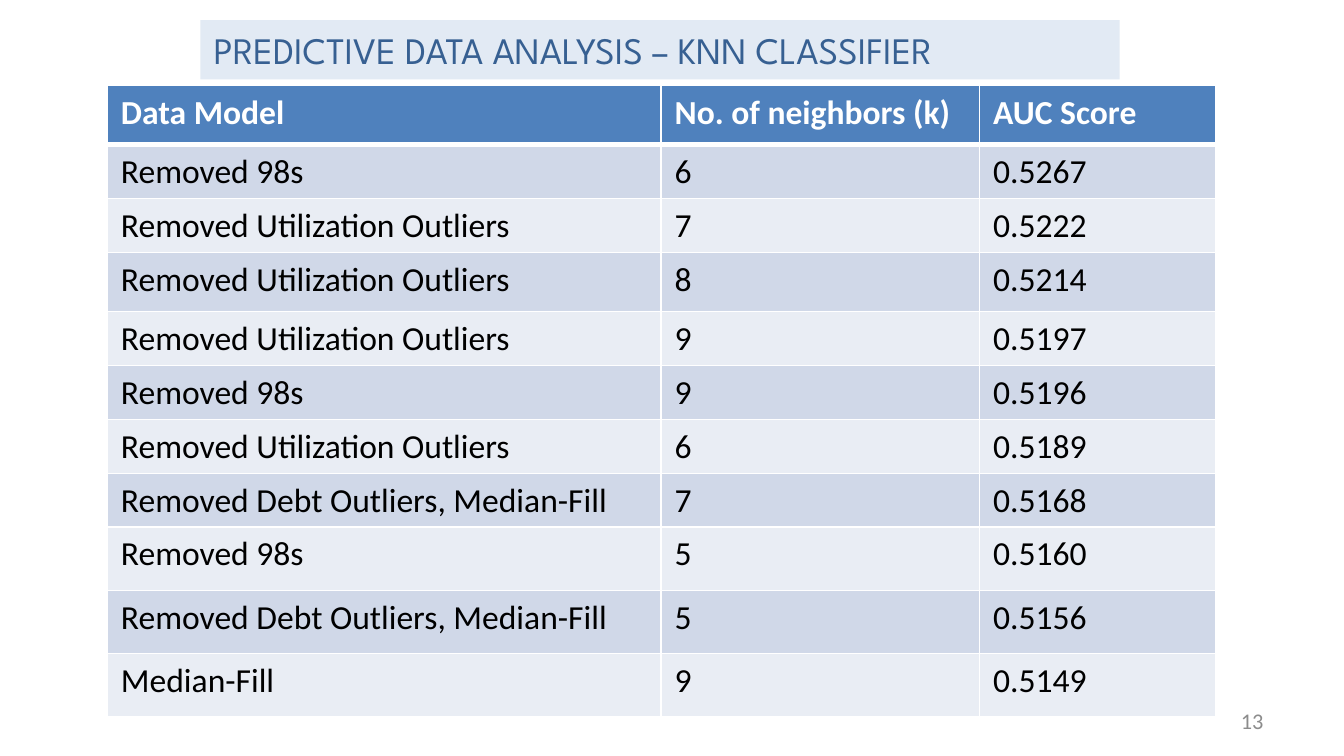
from dataclasses import dataclass

from lxml.etree import SubElement
from pptx import Presentation
from pptx.dml.color import RGBColor
from pptx.enum.text import MSO_ANCHOR, MSO_AUTO_SIZE, PP_ALIGN
from pptx.oxml.ns import qn
from pptx.util import Pt


@dataclass(frozen=True)
class Theme:
    """Colours, fonts and type sizes of the slide."""
    title_font: str = "League Spartan"
    body_font: str = "Calibri"
    title_size: float = 20
    table_size: float = 18
    number_size: float = 12
    title: str = "376092"
    title_fill: str = "95B3D7"
    title_opacity: int = 27
    header: str = "4F81BD"
    bands: tuple = ("D0D8E8", "E9EDF4")
    white: str = "FFFFFF"
    black: str = "000000"
    grey: str = "8C8C8C"


THEME = Theme()
HEADINGS = ("Data Model", "No. of neighbors (k)", "AUC Score")
RESULTS = (
    ("Removed 98s", "6", "0.5267"),
    ("Removed Utilization Outliers", "7", "0.5222"),
    ("Removed Utilization Outliers", "8", "0.5214"),
    ("Removed Utilization Outliers", "9", "0.5197"),
    ("Removed 98s", "9", "0.5196"),
    ("Removed Utilization Outliers", "6", "0.5189"),
    ("Removed Debt Outliers, Median-Fill", "7", "0.5168"),
    ("Removed 98s", "5", "0.5160"),
    ("Removed Debt Outliers, Median-Fill", "5", "0.5156"),
    ("Median-Fill", "9", "0.5149"),
)
COLUMN_WIDTHS = (296.64, 170.64, 126.72)
ROW_HEIGHT, MEDIUM_ROW, TALL_ROW = 28.9, 31.68, 33.84
ROW_HEIGHTS = (MEDIUM_ROW, *[ROW_HEIGHT] * 2, MEDIUM_ROW, *[ROW_HEIGHT] * 4, *[TALL_ROW] * 3)


def set_attributes(target, values):
    """Set every attribute named in a dict of format values."""
    for name, value in values.items():
        setattr(target, name, value)


def place(shape, left, top, width, height):
    """Move and size a shape in points."""
    set_attributes(shape, {"left": Pt(left), "top": Pt(top),
                           "width": Pt(width), "height": Pt(height)})


def fill_solid(fill, color):
    """Give a fill one solid colour."""
    fill.solid()
    fill.fore_color.rgb = RGBColor.from_string(color)


def write_text(frame, text, font, size, color, bold=False, align=PP_ALIGN.LEFT):
    """Write one formatted line into a text frame."""
    paragraph = frame.paragraphs[0]
    paragraph.alignment = align
    run = paragraph.add_run()
    run.text = text
    set_attributes(run.font, {"name": font, "size": Pt(size), "bold": bold})
    run.font.color.rgb = RGBColor.from_string(color)


def add_title(slide, text):
    """Format the title placeholder as a translucent banner."""
    title = slide.shapes.title
    place(title, 107.28, 10.8, 492.48, 31.68)
    fill_solid(title.fill, THEME.title_fill)
    color = title.fill._xPr.find(qn("a:solidFill"))[0]
    SubElement(color, qn("a:alpha"), val=str(THEME.title_opacity * 1000))
    set_attributes(title.text_frame, {"word_wrap": True, "auto_size": MSO_AUTO_SIZE.NONE,
                                      "vertical_anchor": MSO_ANCHOR.TOP})
    write_text(title.text_frame, text, THEME.title_font, THEME.title_size, THEME.title)


def add_slide_number(slide, text):
    """Add the right-aligned slide number."""
    box = slide.shapes.add_textbox(Pt(516.24), Pt(375.12), Pt(167.76), Pt(21.6))
    set_attributes(box.text_frame, {"word_wrap": True, "vertical_anchor": MSO_ANCHOR.MIDDLE})
    write_text(box.text_frame, text, THEME.body_font, THEME.number_size, THEME.grey,
               align=PP_ALIGN.RIGHT)


def set_borders(cell, bottom):
    """Draw white cell borders with the given bottom width."""
    properties = cell._tc.get_or_add_tcPr()
    widths = {"a:lnL": 1, "a:lnR": 1, "a:lnT": 1, "a:lnB": bottom}
    for tag, width in widths.items():
        line = SubElement(properties, qn(tag), w=str(Pt(width)))
        SubElement(SubElement(line, qn("a:solidFill")), qn("a:srgbClr"), val=THEME.white)


def format_cell(cell, text, row_index):
    """Fill, border and write a header or banded body cell."""
    is_header = row_index == 0
    set_borders(cell, 3 if is_header else 1)
    fill_solid(cell.fill, THEME.header if is_header else THEME.bands[(row_index - 1) % 2])
    write_text(cell.text_frame, text, THEME.body_font, THEME.table_size,
               THEME.white if is_header else THEME.black, bold=is_header)


def add_results_table(slide):
    """Add the table of classifier scores."""
    rows = (HEADINGS, *RESULTS)
    table = slide.shapes.add_table(len(rows), len(HEADINGS), Pt(57.6), Pt(45.8),
                                   Pt(sum(COLUMN_WIDTHS)), Pt(sum(ROW_HEIGHTS))).table
    for column, width in zip(table.columns, COLUMN_WIDTHS):
        column.width = Pt(width)
    for row_index, (row, height, texts) in enumerate(zip(table.rows, ROW_HEIGHTS, rows)):
        row.height = Pt(height)
        for cell, text in zip(row.cells, texts):
            format_cell(cell, text, row_index)


def main():
    """Build and save the presentation."""
    presentation = Presentation()
    set_attributes(presentation, {"slide_width": Pt(720), "slide_height": Pt(405)})
    slide = presentation.slides.add_slide(presentation.slide_layouts[5])
    add_title(slide, "PREDICTIVE DATA ANALYSIS – KNN CLASSIFIER")
    add_slide_number(slide, "13")
    add_results_table(slide)
    presentation.save("out.pptx")


if __name__ == "__main__":
    main()
